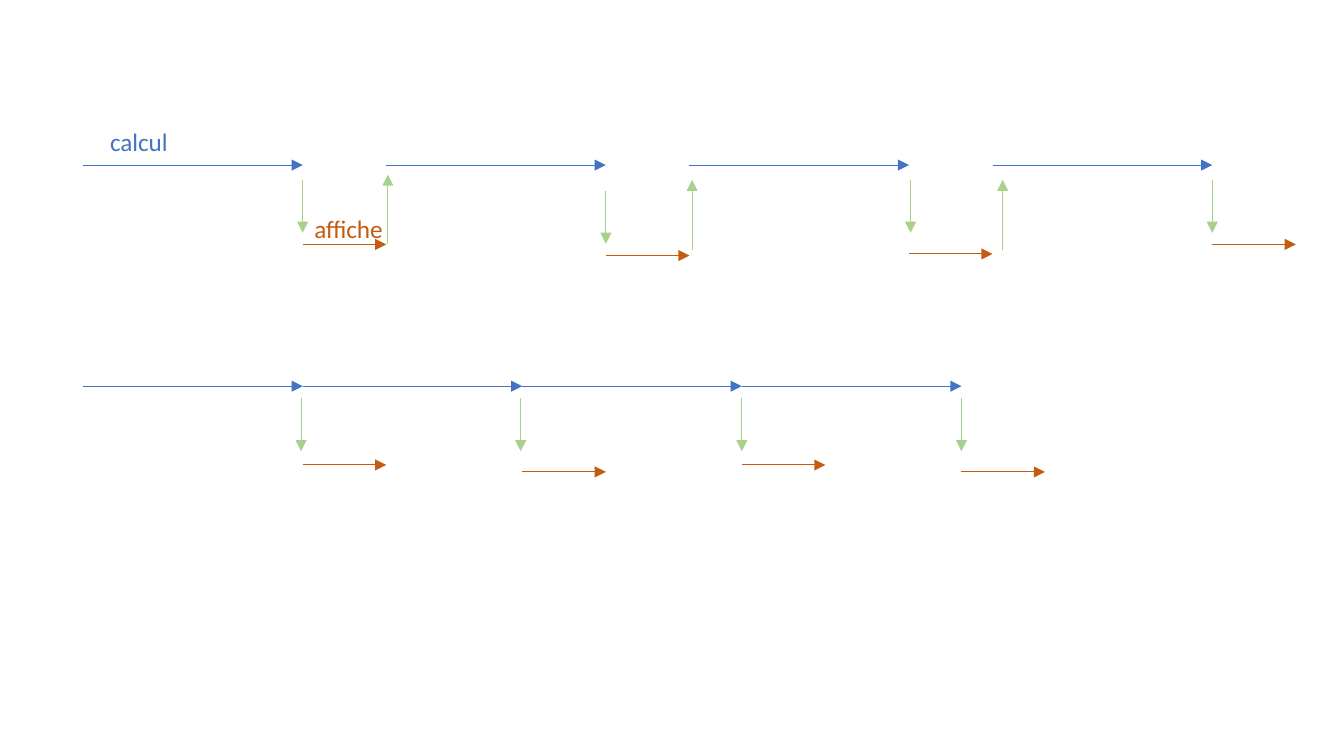
from lxml import etree
from pptx import Presentation
from pptx.dml.color import RGBColor
from pptx.enum import shapes, text
from pptx.oxml import ns
from pptx.util import Cm, Pt

BLUE = RGBColor(0x44, 0x72, 0xC4)
ORANGE = RGBColor(0xC5, 0x5A, 0x11)
GREEN = RGBColor(0xA9, 0xD1, 0x8E)

LEFT = 1.57
COMPUTE = 4.15
DISPLAY = 1.58
HANDOFF = 1.0
RETURN = 1.32

# Per cycle: handoff x offset, handoff top, display y
SEQUENTIAL = [(0, 3.4, 4.62), (0, 3.61, 4.83), (0.03, 3.4, 4.8), (0, 3.4, 4.62)]
OVERLAPPED = [(-0.03, 7.53, 8.79), (-0.03, 7.53, 8.92), (0, 7.53, 8.79), (0, 7.53, 8.92)]
# Per return: x offset from the next computation, bottom
RETURNS = [(0.03, 4.62), (0.05, 4.72), (0.19, 4.72)]


def add_arrow(slide, x, y, color, across=0, down=0):
    arrow = slide.shapes.add_connector(
        shapes.MSO_CONNECTOR.STRAIGHT, Cm(x), Cm(y), Cm(x + across), Cm(y + down))
    arrow.line.color.rgb = color
    arrow.line.width = Pt(0.5)
    outline = arrow.line._get_or_add_ln()
    etree.SubElement(outline, ns.qn("a:tailEnd"), type="triangle")
    etree.SubElement(arrow._element.spPr, ns.qn("a:effectLst"))


def add_timeline(slide, y, step, cycles):
    """Draw computations every step, each handing off to a display."""
    for index, (offset, top, display_y) in enumerate(cycles):
        start = LEFT + index * step
        end = start + COMPUTE
        add_arrow(slide, start, y, BLUE, across=COMPUTE)
        add_arrow(slide, end + offset, top, GREEN, down=HANDOFF)
        add_arrow(slide, end, display_y, ORANGE, across=DISPLAY)


def add_label(slide, wording, x, y, width, color):
    box = slide.shapes.add_textbox(Cm(x), Cm(y), Cm(width), Cm(0.83))
    frame = box.text_frame
    frame.text = wording
    frame.word_wrap = False
    frame.auto_size = text.MSO_AUTO_SIZE.SHAPE_TO_FIT_TEXT
    font = frame.paragraphs[0].runs[0].font
    font.name = "Calibri"
    font.size = Pt(13.5)
    font.color.rgb = color


def main():
    deck = Presentation()
    deck.slide_width, deck.slide_height = Cm(25.4), Cm(14.29)
    slide = deck.slides.add_slide(deck.slide_layouts[6])

    period = COMPUTE + DISPLAY
    add_timeline(slide, 3.12, period, SEQUENTIAL)
    for index, (offset, bottom) in enumerate(RETURNS, start=1):
        add_arrow(slide, LEFT + index * period + offset, bottom, GREEN, down=-RETURN)
    add_timeline(slide, 7.3, COMPUTE, OVERLAPPED)

    add_label(slide, "calcul", 1.83, 2.26, 1.63, BLUE)
    add_label(slide, "affiche", 5.69, 3.91, 1.83, ORANGE)
    deck.save("out.pptx")


if __name__ == "__main__":
    main()
